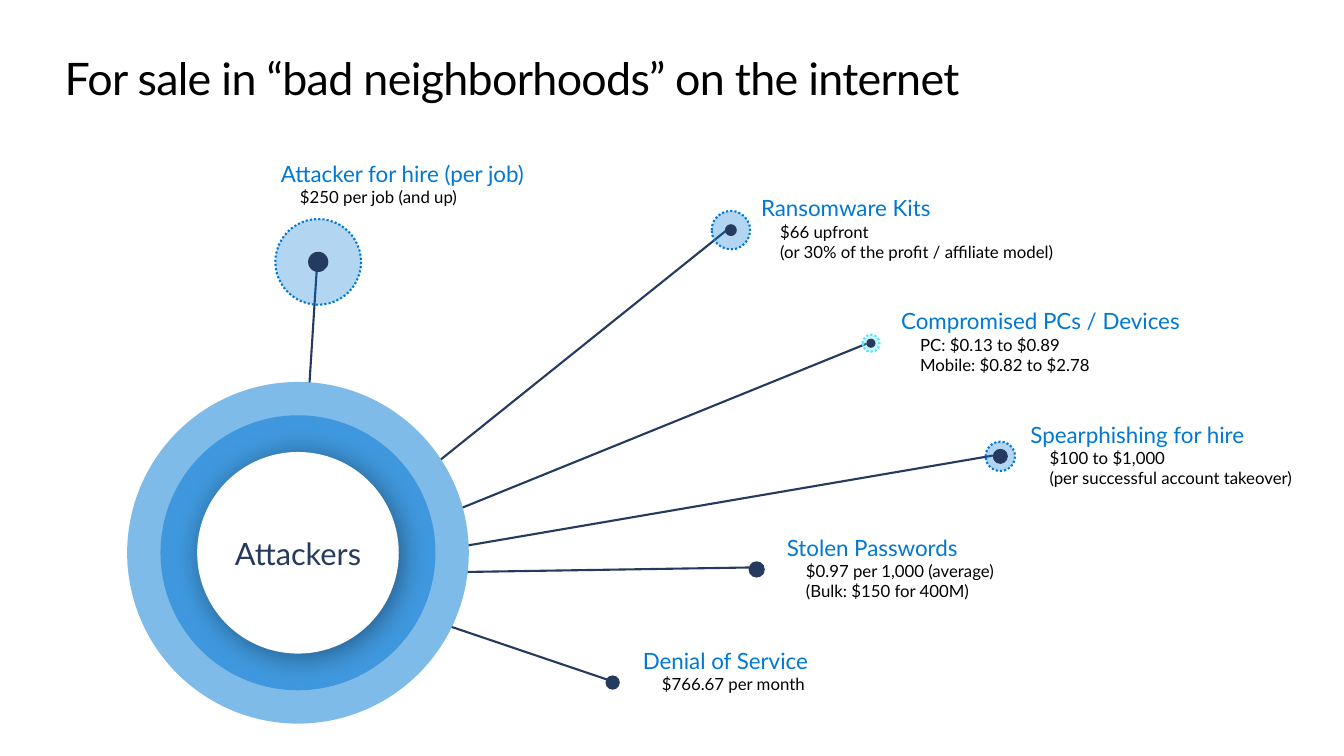
from dataclasses import dataclass
from lxml.etree import SubElement
from pptx import Presentation
from pptx.dml.color import RGBColor
from pptx.enum.dml import MSO_LINE
from pptx.enum.shapes import MSO_CONNECTOR, MSO_SHAPE
from pptx.enum.text import MSO_ANCHOR, PP_ALIGN
from pptx.oxml.ns import qn
from pptx.util import Cm, Pt


@dataclass(frozen=True)
class Theme:
    font: str = "Lato"
    black: str = "000000"
    white: str = "FFFFFF"
    navy: str = "243A5E"
    blue: str = "0078D4"
    cyan: str = "50E6FF"
    outer_ring: str = "7FBBE9"
    inner_ring: str = "3F98DD"
    title_size: int = 32
    hub_size: int = 22
    heading_size: int = 16
    detail_size: int = 12
    line_width: float = 1.5


THEME = Theme()
TITLE = "For sale in “bad neighborhoods” on the internet"
HUB = "Attackers"
HUB_CENTER = (7.51, 13.93)
LINE_START = (7.49, 14.48)
RINGS = [(8.61, THEME.outer_ring), (6.93, THEME.inner_ring)]
CORE_DIAMETER = 5.08
FIRST_ROW, ROW_STEP = 5.8, 2.85
LABEL_OFFSET = (0, -1.15)
LABEL_HEIGHT = 2.29

HIRE = dict(
    heading="Attacker for hire (per job)", details=["$250 per job (and up)"],
    center=(8.02, 6.6), offset=(-1.7, -2.82), tip=(7.98, 6.83),
    width=7.62, dot=0.51, halo=2.16, color=THEME.blue)
ROWS = [
    dict(heading="Ransomware Kits",
         details=["$66 upfront\v(or 30% of the profit / affiliate model)"],
         x=18.42, tip=(18.29, 5.82), width=8.92, dot=0.3, halo=0.97, color=THEME.blue),
    dict(heading="Compromised PCs / Devices",
         details=["PC: $0.13 to $0.89", "Mobile: $0.82 to $2.78"],
         x=21.95, tip=(21.84, 8.66), width=8.23, dot=0.23, halo=0.43, color=THEME.cyan),
    dict(heading="Spearphishing for hire",
         details=["$100 to $1,000\v(per successful account takeover)"],
         x=25.21, tip=(25.02, 11.48), width=8.1, dot=0.38, halo=0.74, color=THEME.blue),
    dict(heading="Stolen Passwords",
         details=["$0.97 per 1,000 (average)", "(Bulk: $150 for 400M)"],
         x=19.07, tip=(18.87, 14.3), width=7.62, dot=0.41, halo=None),
    dict(heading="Denial of Service", details=["$766.67 per month"],
         x=15.44, tip=(15.29, 17.12), width=7.62, dot=0.36, halo=None),
]
OFFERS = [HIRE] + [
    dict(row, center=(row["x"], FIRST_ROW + index * ROW_STEP), offset=LABEL_OFFSET)
    for index, row in enumerate(ROWS)
]


def set_font(paragraph, size, color):
    paragraph.font.name = THEME.font
    paragraph.font.size = Pt(size)
    paragraph.font.color.rgb = RGBColor.from_string(color)


def set_margins(frame, left=0, other=0):
    frame.margin_left = Cm(left)
    frame.margin_top = frame.margin_right = frame.margin_bottom = Cm(other)


def add_circle(shapes, center, diameter, color):
    left, top = (value - diameter / 2 for value in center)
    circle = shapes.add_shape(
        MSO_SHAPE.OVAL, Cm(left), Cm(top), Cm(diameter), Cm(diameter))
    circle.shadow.inherit = False
    circle.fill.solid()
    circle.fill.fore_color.rgb = RGBColor.from_string(color)
    circle.line.fill.background()
    return circle


def add_spoke(page, tip):
    spoke = page.shapes.add_connector(
        MSO_CONNECTOR.STRAIGHT, *(Cm(value) for value in LINE_START + tip))
    spoke.line.color.rgb = RGBColor.from_string(THEME.navy)
    spoke.line.width = Pt(THEME.line_width)
    SubElement(spoke.element.spPr, qn("a:effectLst"))


def add_label(page, offer):
    left, top = (a + b for a, b in zip(offer["center"], offer["offset"]))
    box = page.shapes.add_textbox(
        Cm(left), Cm(top), Cm(offer["width"]), Cm(LABEL_HEIGHT))
    frame = box.text_frame
    frame.word_wrap = True
    set_margins(frame, left=0.76, other=0.25)
    heading = frame.paragraphs[0]
    heading.text = offer["heading"]
    set_font(heading, THEME.heading_size, THEME.blue)
    for detail in offer["details"]:
        para = frame.add_paragraph()
        para.text = detail
        set_font(para, THEME.detail_size, THEME.black)
        properties = para._p.get_or_add_pPr()
        properties.set("marL", str(Cm(0.48)))
        properties.set("indent", "0")


def add_marker(page, offer):
    shapes = page.shapes
    if offer["halo"]:
        shapes = page.shapes.add_group_shape().shapes
        halo = add_circle(shapes, offer["center"], offer["halo"], offer["color"])
        fill_color = halo.element.spPr.find(qn("a:solidFill"))[0]
        SubElement(fill_color, qn("a:alpha"), val="30000")
        halo.line.color.rgb = RGBColor.from_string(offer["color"])
        halo.line.width = Pt(THEME.line_width)
        halo.line.dash_style = MSO_LINE.ROUND_DOT
    add_circle(shapes, offer["center"], offer["dot"], THEME.navy)


def add_hub(page):
    for diameter, color in RINGS:
        add_circle(page.shapes, HUB_CENTER, diameter, color)
    shapes = page.shapes.add_group_shape().shapes
    core = add_circle(shapes, HUB_CENTER, CORE_DIAMETER, THEME.white)
    effects = core.element.spPr.find(qn("a:effectLst"))
    shadow = SubElement(effects, qn("a:outerShdw"), blurRad=str(Pt(20)),
                        dist=str(Pt(3)), dir="2700000", algn="ctr", rotWithShape="0")
    shade = SubElement(shadow, qn("a:srgbClr"), val=THEME.black)
    SubElement(shade, qn("a:alpha"), val="40000")
    width, height = 3.91, 1.12
    box = shapes.add_textbox(
        Cm(HUB_CENTER[0] - width / 2), Cm(HUB_CENTER[1] - height / 2),
        Cm(width), Cm(height))
    frame = box.text_frame
    frame.word_wrap = False
    frame.vertical_anchor = MSO_ANCHOR.MIDDLE
    set_margins(frame)
    para = frame.paragraphs[0]
    para.text = HUB
    para.alignment = PP_ALIGN.CENTER
    set_font(para, THEME.hub_size, THEME.navy)


def add_title(page):
    title = page.shapes.title
    title.left, title.top, title.width, title.height = (
        Cm(value) for value in (1.63, 1.27, 30.61, 1.37))
    frame = title.text_frame
    frame.word_wrap = True
    frame.vertical_anchor = MSO_ANCHOR.TOP
    set_margins(frame)
    para = frame.paragraphs[0]
    para.text = TITLE
    para.alignment = PP_ALIGN.LEFT
    set_font(para, THEME.title_size, THEME.black)
    para.runs[0].font._element.set("spc", "-50")


def main():
    deck = Presentation()
    deck.slide_width, deck.slide_height = Cm(33.87), Cm(19.05)
    page = deck.slides.add_slide(deck.slide_layouts[5])
    add_title(page)
    for offer in OFFERS:
        add_spoke(page, offer["tip"])
        add_label(page, offer)
    add_hub(page)
    for offer in OFFERS:
        add_marker(page, offer)
    deck.save("out.pptx")


if __name__ == "__main__":
    main()
